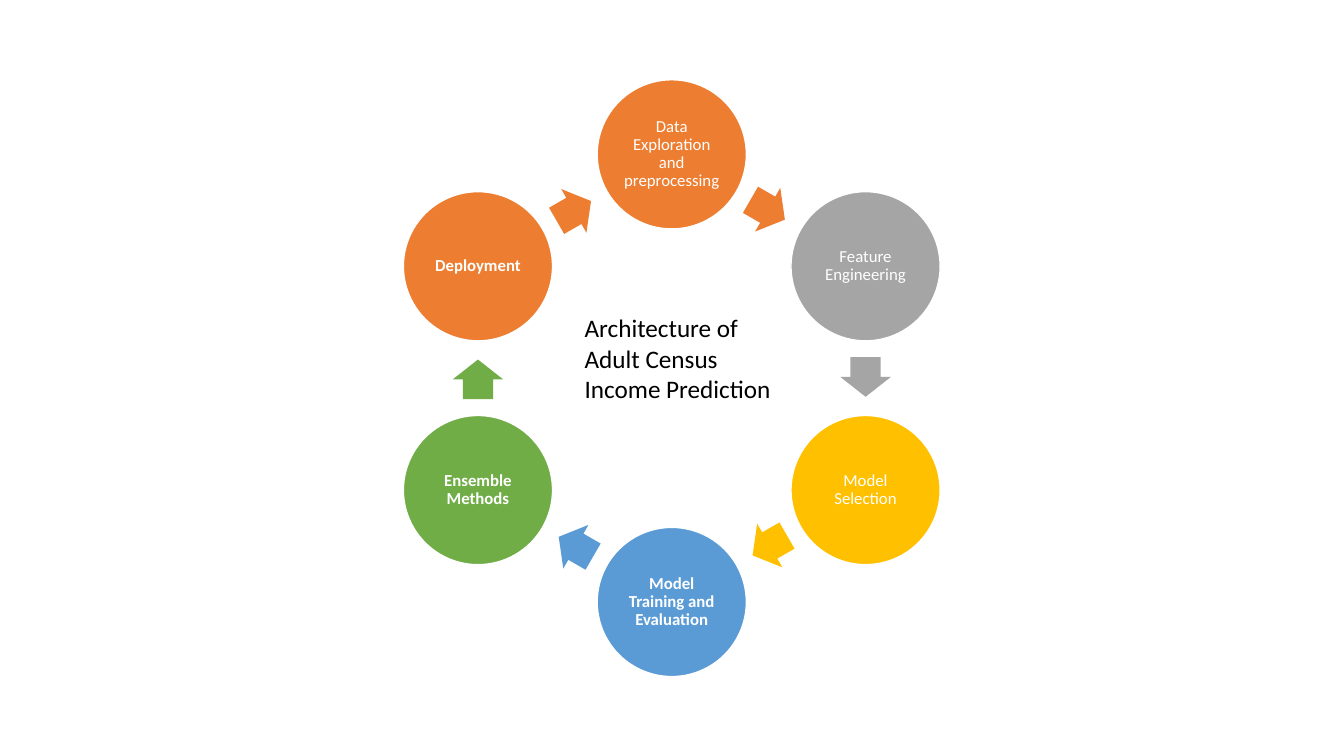
from math import cos, radians, sin

from pptx import Presentation
from pptx.dml.color import RGBColor
from pptx.enum.shapes import MSO_SHAPE
from pptx.enum.text import MSO_ANCHOR, MSO_AUTO_SIZE, PP_ALIGN
from pptx.util import Cm, Pt

TITLE = "Architecture of\nAdult Census Income Prediction"
STAGES = [
    ("Data Exploration and preprocessing", "ED7D31", False),
    ("Feature Engineering", "A5A5A5", False),
    ("Model Selection", "FFC000", False),
    ("Model Training and Evaluation", "5B9BD5", True),
    ("Ensemble Methods", "70AD47", True),
    ("Deployment", "ED7D31", True),
]
FONT = "Calibri"
WHITE = "FFFFFF"
BLACK = "000000"

CENTER_X, CENTER_Y = 16.93, 9.53
RING_RADIUS = 5.64
CIRCLE_SIZE = 3.76
ARROW_LENGTH, ARROW_WIDTH = 1.0, 1.27
ARROW_SETBACK = 0.03
STEP = 360 / len(STAGES)


def color(value):
    return RGBColor.from_string(value)


def write(frame, text, size, ink, align, bold=False, line_spacing=1.0):
    frame.text = text
    frame.word_wrap = True
    for para in frame.paragraphs:
        para.alignment = align
        para.line_spacing = line_spacing
        for span in para.runs:
            span.font.name = FONT
            span.font.size = Pt(size)
            span.font.bold = bold
            span.font.color.rgb = color(ink)


def add_centered(page, kind, x, y, width, height, fill):
    shape = page.shapes.add_shape(
        kind, Cm(x - width / 2), Cm(y - height / 2), Cm(width), Cm(height))
    shape.shadow.inherit = False
    shape.fill.solid()
    shape.fill.fore_color.rgb = color(fill)
    return shape


def add_stage(page, angle, text, fill, bold):
    x = CENTER_X + RING_RADIUS * cos(radians(angle))
    y = CENTER_Y + RING_RADIUS * sin(radians(angle))
    circle = add_centered(page, MSO_SHAPE.OVAL, x, y, CIRCLE_SIZE, CIRCLE_SIZE, fill)
    circle.line.color.rgb = color(WHITE)
    circle.line.width = Pt(1)
    frame = circle.text_frame
    frame.margin_left = frame.margin_right = Cm(0.05)
    frame.margin_top = frame.margin_bottom = Cm(0.05)
    frame.vertical_anchor = MSO_ANCHOR.MIDDLE
    write(frame, text, 12, WHITE, PP_ALIGN.CENTER, bold, 0.9)


def add_arrow(page, angle, fill):
    middle = angle + STEP / 2
    heading = middle + 90
    distance = RING_RADIUS * cos(radians(STEP / 2))
    x = CENTER_X + distance * cos(radians(middle)) - ARROW_SETBACK * cos(radians(heading))
    y = CENTER_Y + distance * sin(radians(middle)) - ARROW_SETBACK * sin(radians(heading))
    arrow = add_centered(page, MSO_SHAPE.RIGHT_ARROW, x, y, ARROW_LENGTH, ARROW_WIDTH, fill)
    arrow.adjustments[0] = 0.6
    arrow.adjustments[1] = 0.5
    arrow.rotation = heading % 360
    arrow.line.fill.background()


def add_title(page):
    title = page.shapes.title
    title.left, title.top = Cm(14.48), Cm(7.75)
    title.width, title.height = Cm(5.46), Cm(2.57)
    frame = title.text_frame
    frame.auto_size = MSO_AUTO_SIZE.NONE
    frame.vertical_anchor = MSO_ANCHOR.TOP
    write(frame, TITLE, 18, BLACK, PP_ALIGN.LEFT)


def main():
    deck = Presentation()
    deck.slide_width, deck.slide_height = Cm(33.87), Cm(19.05)
    page = deck.slides.add_slide(deck.slide_layouts[5])
    add_title(page)
    for index, (text, fill, bold) in enumerate(STAGES):
        angle = index * STEP - 90
        add_stage(page, angle, text, fill, bold)
        add_arrow(page, angle, fill)
    deck.save("out.pptx")


if __name__ == "__main__":
    main()
